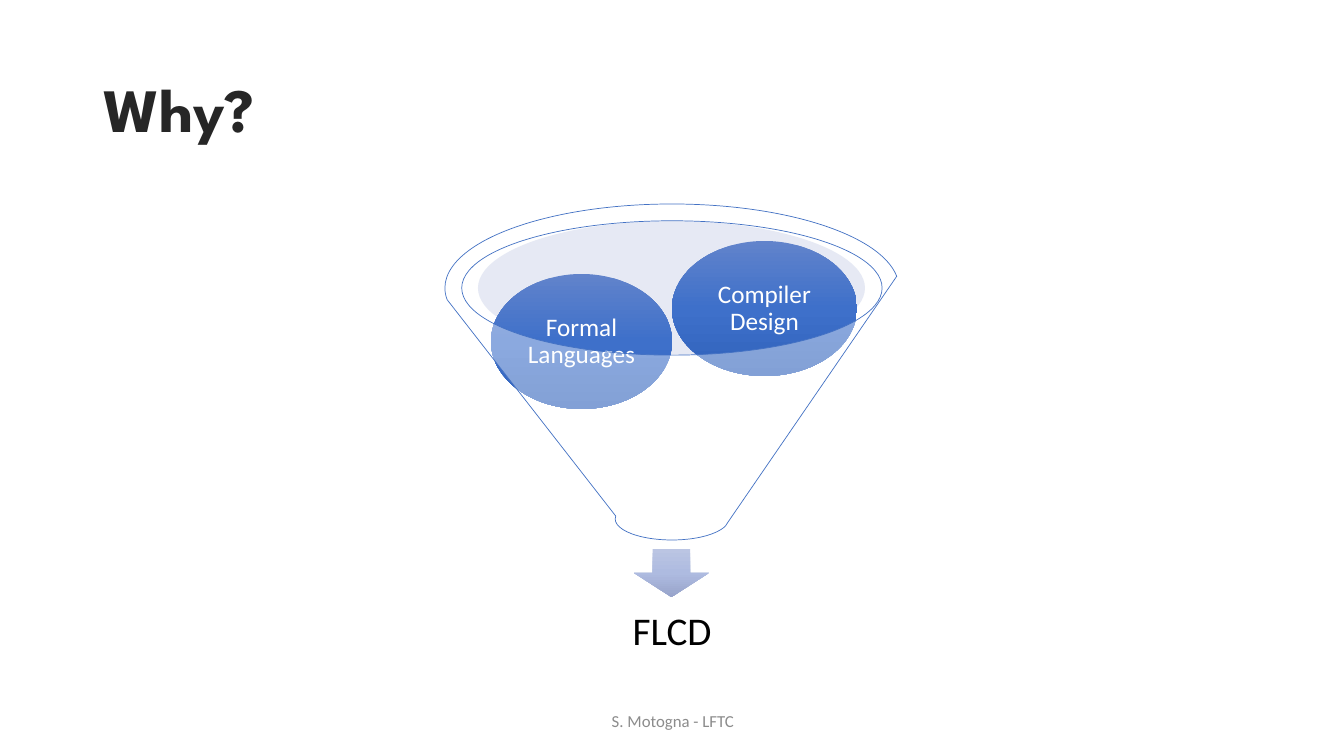
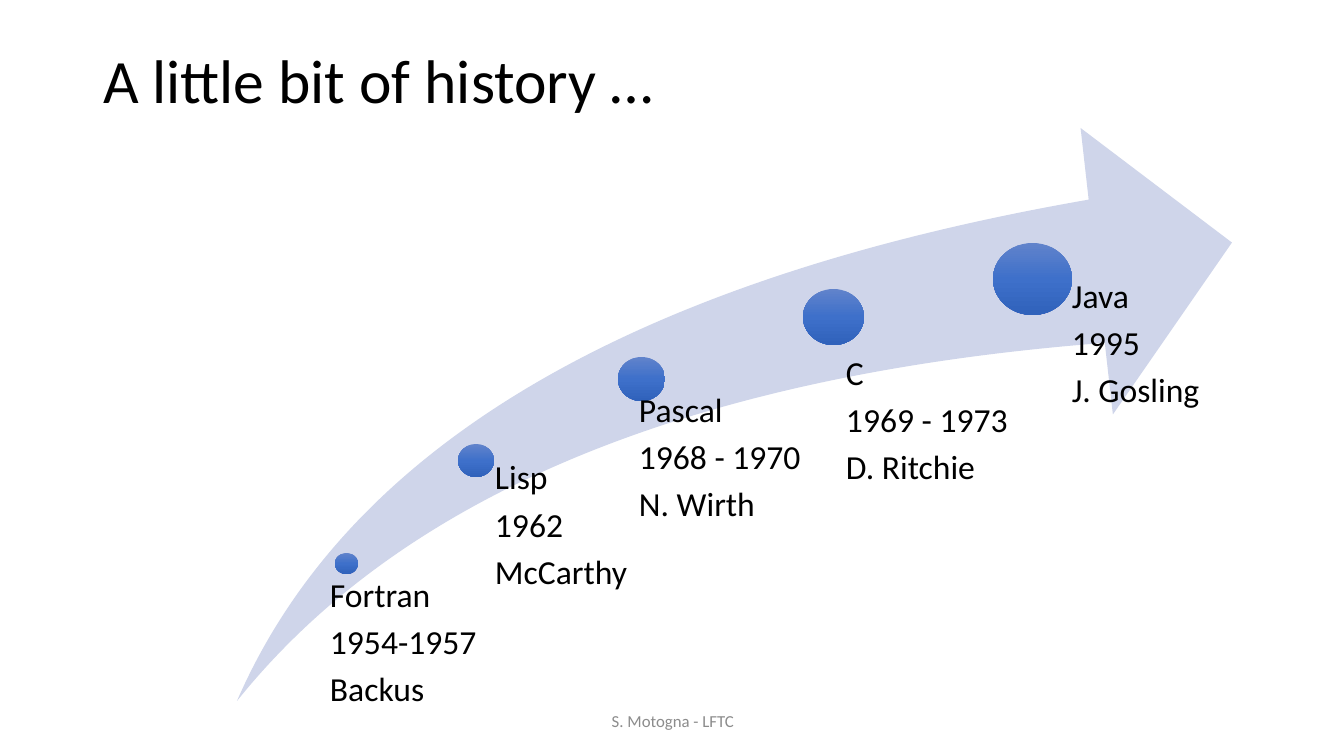
from copy import deepcopy

from lxml import etree
from pptx import Presentation
from pptx.dml.color import RGBColor
from pptx.enum.shapes import MSO_SHAPE
from pptx.enum.text import MSO_ANCHOR, MSO_AUTO_SIZE, PP_ALIGN
from pptx.oxml.ns import qn
from pptx.util import Pt

ELLIPSE, FUNNEL = MSO_SHAPE.OVAL, MSO_SHAPE.FUNNEL
DOWN_ARROW, SWOOSH = MSO_SHAPE.DOWN_ARROW, MSO_SHAPE.SWOOSH_ARROW
TOP, MIDDLE = MSO_ANCHOR.TOP, MSO_ANCHOR.MIDDLE
LEFT, CENTER = PP_ALIGN.LEFT, PP_ALIGN.CENTER
NO_FIT = MSO_AUTO_SIZE.NONE

WHITE = RGBColor(0xFF, 0xFF, 0xFF)
BLACK = RGBColor(0x00, 0x00, 0x00)
CHARCOAL = RGBColor(0x26, 0x26, 0x26)
GREY = RGBColor(0x8C, 0x8C, 0x8C)
BLUE = RGBColor(0x44, 0x72, 0xC4)
MOUTH_BLUE = RGBColor(0xC1, 0xC9, 0xE4)
PALE_BLUE = RGBColor(0xCF, 0xD5, 0xEA)
BALL_BLUES = (RGBColor(0x61, 0x83, 0xCB), RGBColor(0x3E, 0x70, 0xCA), RGBColor(0x30, 0x62, 0xBB))
ARROW_BLUES = (RGBColor(0xBB, 0xC5, 0xE3), RGBColor(0xAE, 0xBB, 0xE0), RGBColor(0x98, 0xA4, 0xCB))

BODY_FONT, DISPLAY_FONT = "Calibri", "League Spartan"
EMU_PER_PIXEL = 914400 / 100.8
FOOTER = "S. Motogna - LFTC"


def px(pixels):
    """Turn pixels into EMU."""
    return round(pixels * EMU_PER_PIXEL)


def set_all(target, values):
    """Set every attribute named in values."""
    for name, value in values.items():
        setattr(target, name, value)


class SlideBuilder:
    """Holds the deck style and the slide being built."""

    def __init__(self, deck):
        self.deck = deck
        self.page = None

    def start(self, title, height, **font):
        """Add a slide with its title and the shared footer."""
        self.page = self.deck.slides.add_slide(self.deck.slide_layouts[5])
        box = self.page.shapes.title
        set_all(box, {"left": px(93), "top": px(40), "width": px(1159), "height": px(height)})
        self.fill_text(box, [title], {"size": Pt(44), **font}, anchor=MIDDLE)
        self.text((446, 701, 454, 40), [FOOTER], {"size": Pt(12), "color": GREY},
                  align=CENTER, anchor=MIDDLE, spacing=1.0)
        return box

    def fill_text(self, box, lines, font, align=LEFT, anchor=TOP, insets=None, after=0,
                  spacing=0.9):
        """Fill a box with one paragraph per line."""
        frame = box.text_frame
        set_all(frame, {"word_wrap": True, "auto_size": NO_FIT, "vertical_anchor": anchor})
        if insets:
            sides = ("margin_left", "margin_top", "margin_right", "margin_bottom")
            set_all(frame, {side: px(inset) for side, inset in zip(sides, insets)})
        style = {"name": BODY_FONT, "bold": False, "color": BLACK, **font}
        color = style.pop("color")
        for index, line in enumerate(lines):
            para = frame.add_paragraph() if index else frame.paragraphs[0]
            set_all(para, {"alignment": align, "line_spacing": spacing, "space_after": Pt(after)})
            span = para.add_run()
            span.text = line
            set_all(span.font, style)
            span.font.color.rgb = color

    def text(self, area, lines, font, **layout):
        """Add a text box."""
        box = self.page.shapes.add_textbox(*map(px, area))
        self.fill_text(box, lines, font, **layout)

    def shape(self, kind, area, color, opacity=100, line=None):
        """Add a preset shape with a plain, possibly see-through, fill."""
        shape = self.page.shapes.add_shape(kind, *map(px, area))
        shape.shadow.inherit = False
        shape.fill.solid()
        shape.fill.fore_color.rgb = color
        if opacity < 100:
            paint = shape._element.spPr.find(qn("a:solidFill"))[0]
            etree.SubElement(paint, qn("a:alpha"), val=str(opacity * 1000))
        if line:
            shape.line.color.rgb = line
            shape.line.width = Pt(0.5)
        else:
            shape.line.fill.background()
        return shape

    def shaded(self, kind, area, colors):
        """Add a preset shape shaded from top to bottom in three colours."""
        shape = self.shape(kind, area, colors[0])
        shape.fill.gradient()
        shape.fill.gradient_angle = 270
        stop_list = shape._element.spPr.find(".//" + qn("a:gsLst"))
        stop_list.insert(1, deepcopy(stop_list[0]))
        for index, stop in enumerate(shape.fill.gradient_stops):
            stop.position = index / 2
            stop.color.rgb = colors[index]
        return shape


def outline_text(box, color, width):
    """Give the first run of a box a coloured outline."""
    properties = box.text_frame.paragraphs[0].runs[0]._r.get_or_add_rPr()
    outline = etree.Element(qn("a:ln"), w=str(int(Pt(width))))
    fill = etree.SubElement(outline, qn("a:solidFill"))
    etree.SubElement(fill, qn("a:srgbClr"), val=str(color))
    properties.insert(0, outline)


def build_why(builder):
    """Build the funnel that merges two subjects into one course."""
    title = builder.start("Why?", 146, name=DISPLAY_FONT, bold=True, color=CHARCOAL)
    outline_text(title, WHITE, 1.06)
    builder.shape(ELLIPSE, (478, 221, 387, 134), MOUTH_BLUE, opacity=40)
    builder.shaded(DOWN_ARROW, (634, 549, 75, 48), ARROW_BLUES)
    builder.text((492, 588, 360, 90), ["FLCD"], {"size": Pt(28)},
                 align=CENTER, anchor=MIDDLE, insets=(22,) * 4)
    subjects = {
        "Compiler Design": (672, 241, 185, 135),
        "Formal Languages": (491, 274, 181, 135),
    }
    for subject, area in subjects.items():
        ball = builder.shaded(ELLIPSE, area, BALL_BLUES)
        builder.fill_text(ball, [subject], {"size": Pt(18), "color": WHITE},
                          align=CENTER, anchor=MIDDLE, insets=(3,) * 4)
    builder.shape(FUNNEL, (445, 204, 454, 336), WHITE, opacity=40, line=BLUE)


def build_history(builder):
    """Build the rising arrow with the languages along it."""
    builder.start("A little bit of history …", 88)
    swoosh = builder.shape(SWOOSH, (237, 128, 995, 573), PALE_BLUE)
    swoosh.adjustments[0] = swoosh.adjustments[1] = 0.25
    milestones = [
        ((335, 553, 23, 21), (319, 578, 183, 136), ["Fortran", "1954-1957", "Backus"]),
        ((458, 444, 36, 33), (477, 461, 165, 240), ["Lisp", "1962", "McCarthy"]),
        ((618, 357, 47, 44), (616, 393, 244, 322), ["Pascal", "1968 - 1970", "N. Wirth"]),
        ((803, 289, 61, 56), (816, 356, 283, 358), ["C", "1969 - 1973", "D. Ritchie"]),
        ((993, 243, 79, 72), (1033, 279, 199, 421), ["Java", "1995", "J. Gosling"]),
    ]
    for dot, area, lines in milestones:
        builder.shaded(ELLIPSE, dot, BALL_BLUES)
        builder.text(area, lines, {"size": Pt(24)}, insets=(dot[2] // 2, 0, 0, 0), after=8)


def main():
    """Build and save the deck."""
    deck = Presentation()
    set_all(deck, {"slide_width": px(1344), "slide_height": px(756)})
    builder = SlideBuilder(deck)
    build_why(builder)
    build_history(builder)
    deck.save("out.pptx")


main()
